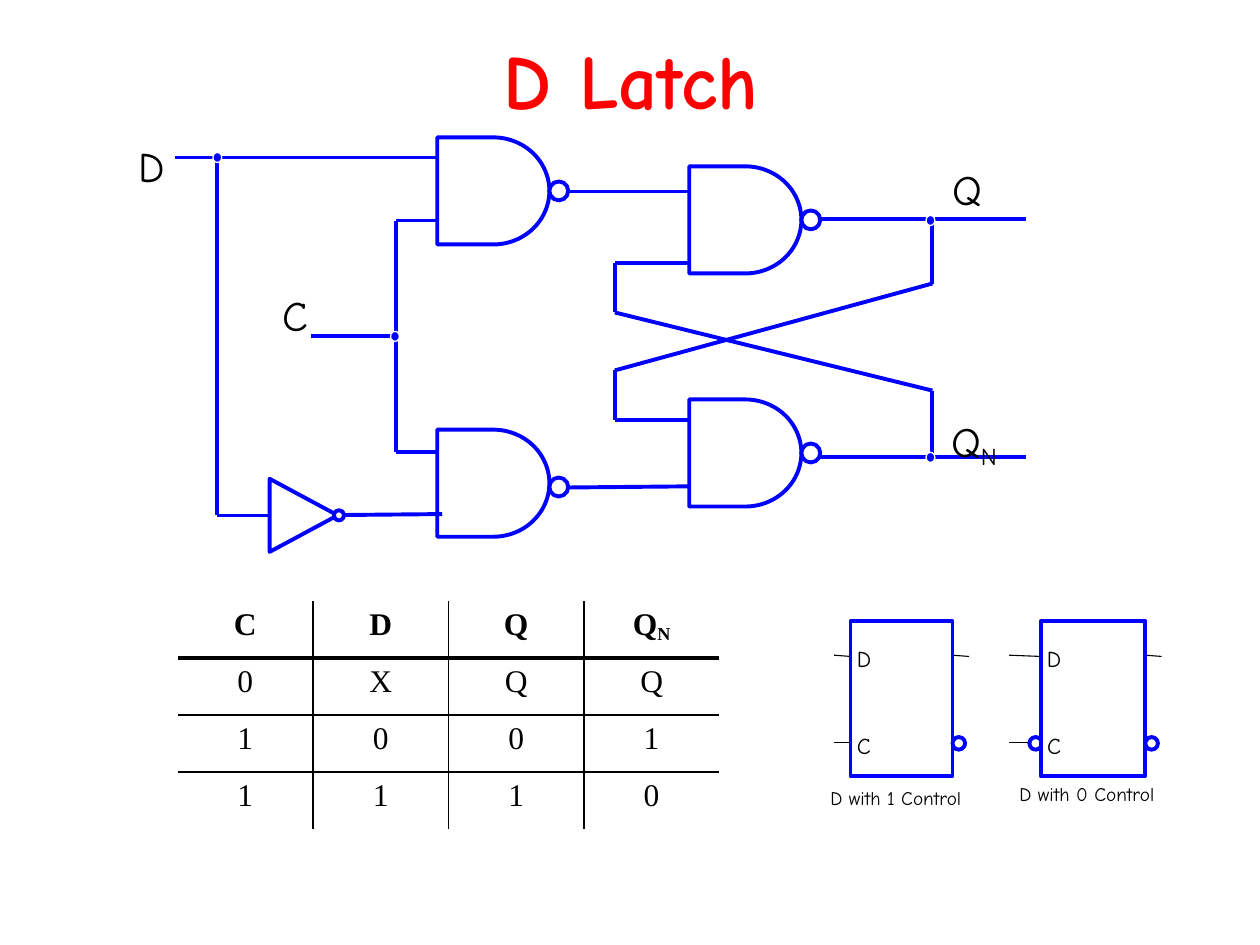
from itertools import pairwise
from lxml.etree import SubElement
from pptx import Presentation
from pptx.dml.color import RGBColor
from pptx.enum.shapes import MSO_CONNECTOR, MSO_SHAPE as Kind
from pptx.enum.text import MSO_ANCHOR, MSO_AUTO_SIZE as Fit, PP_ALIGN as Align
from pptx.oxml.ns import qn
from pptx.util import Inches, Pt

BLUE = RGBColor(0, 0, 255)
RED = RGBColor(255, 0, 0)
BLACK = RGBColor(0, 0, 0)
WHITE = RGBColor(255, 255, 255)
COMIC = "Comic Neue"

prs = Presentation()
prs.slide_width, prs.slide_height = Inches(10), Inches(7.5)
slide = prs.slides.add_slide(prs.slide_layouts[6])
shapes = slide.shapes


def wire(*points, color=BLUE, width=2.25):
    for start, end in pairwise(points):
        line = shapes.add_connector(MSO_CONNECTOR.STRAIGHT, *map(Inches, start + end))
        line.line.color.rgb = color
        line.line.width = Pt(width)
        SubElement(line._element.spPr, qn("a:effectLst"))


def part(kind, left, top, width, height, fill=WHITE, edge=BLUE, weight=2.25):
    shape = shapes.add_shape(kind, *map(Inches, (left, top, width, height)))
    shape.shadow.inherit = False
    if fill is None:
        shape.fill.background()
    else:
        shape.fill.solid()
        shape.fill.fore_color.rgb = fill
    shape.line.color.rgb = edge
    shape.line.width = Pt(weight)
    return shape


# Wires, each a run of corner points
wire((1.39, 1.25), (3.47, 1.25))
wire((1.72, 1.25), (1.72, 4.09))
wire((1.72, 4.09), (2.22, 4.09), width=1.5)
wire((2.47, 4.09), (3.51, 4.08))
wire((2.47, 2.67), (3.14, 2.67))
wire((3.47, 1.75), (3.14, 1.75), (3.14, 3.59), (3.47, 3.59))
wire((4.43, 1.52), (5.47, 1.52))
wire((4.44, 3.87), (5.47, 3.86))
wire((6.51, 1.74), (8.14, 1.74))
wire((6.51, 3.63), (8.14, 3.63))
wire((5.47, 2.09), (4.88, 2.09), (4.88, 2.48), (7.4, 3.1), (7.4, 3.65))
wire((5.47, 3.33), (4.88, 3.33), (4.88, 2.94), (7.4, 2.25), (7.4, 1.73))

# NAND gates with their bubbles
for left, top, drop in [(3.47, 1.09, 0.35), (3.47, 3.41, 0.38),
                        (5.47, 1.32, 0.35), (5.47, 3.17, 0.35)]:
    part(Kind.FLOWCHART_DELAY, left, top, 0.89, 0.85, fill=None)
    part(Kind.OVAL, left + 0.89, top + drop, 0.15, 0.15)

# Inverter
part(Kind.ISOSCELES_TRIANGLE, 2.12, 3.82, 0.58, 0.54).rotation = 90
part(Kind.OVAL, 2.65, 4.05, 0.08, 0.08)

# Junction dots
for left, top in [(1.69, 1.21), (3.1, 2.63), (7.35, 1.71), (7.35, 3.59)]:
    part(Kind.OVAL, left, top, 0.07, 0.08, BLUE, WHITE, 0.75)

# Block symbols: left edge, width, lead start, lead end, low control
labels = []
for left, width, start, note, low in [
        (6.75, 0.81, 6.62, (6.59, 6.24), False),
        (8.26, 0.83, 8.01, (8.09, 6.21), True)]:
    right = left + width
    wire((start, 5.2), (left, 5.21), color=BLACK, width=0.63)
    wire((right, 5.2), (right + 0.13, 5.21), color=BLACK, width=0.63)
    wire((start, 5.89), (left - 0.09 * low, 5.89), color=BLACK, width=0.63)
    if low:
        part(Kind.OVAL, left - 0.09, 5.85, 0.1, 0.1)
    part(Kind.RECTANGLE, left, 4.93, width, 1.23)
    part(Kind.OVAL, right, 5.85, 0.1, 0.1)
    labels += [("D", left + 0.05, 5.12, 0.13, 0.22, 13),
               ("C", left + 0.05, 5.81, 0.11, 0.22, 13),
               (f"D with {0 if low else 1} Control", *note, 1.24, 0.19, 11)]

# Title and labels; a bar sets off a subscript
labels += [("D Latch", 0.51, 0, 9, 1.25, 44),
           ("D", 1, 1.07, 0.36, 0.37, 24),
           ("C", 2.14, 2.25, 0.34, 0.37, 24),
           ("Q", 7.46, 1.25, 0.4, 0.37, 24),
           ("Q|N", 7.45, 3.25, 0.58, 0.37, 24)]
for words, left, top, width, height, size in labels:
    title = size == 44
    frame = shapes.add_textbox(*map(Inches, (left, top, width, height))).text_frame
    look = {"word_wrap": title, "auto_size": Fit.NONE if title else Fit.SHAPE_TO_FIT_TEXT}
    if title:
        look["vertical_anchor"] = MSO_ANCHOR.MIDDLE
    if size < 20:
        look |= dict.fromkeys(
            ("margin_left", "margin_top", "margin_right", "margin_bottom"), 0)
    for name, value in look.items():
        setattr(frame, name, value)
    para = frame.paragraphs[0]
    para.alignment = Align.CENTER if title else Align.LEFT
    for i, bit in enumerate(words.split("|")):
        run = para.add_run()
        run.text = bit
        for name, value in {"name": COMIC, "size": Pt(size), "bold": title}.items():
            setattr(run.font, name, value)
        run.font.color.rgb = RED if title else BLACK
        if i:
            run.font._element.set("baseline", "-18000")

# Truth table: inner rules only, heavy below the heading
ROWS = ["C D Q Q|N", "0 X Q Q", "1 0 0 1", "1 1 1 0"]
grid = shapes.add_table(4, 4, *map(Inches, (1.41, 4.77, 4.3, 1.81)))
table = grid.table
grid._element.find(".//" + qn("a:tableStyleId")).text = "{2D5ABB26-0587-4C30-8999-92F81FD0307C}"
table.first_row = table.horz_banding = False
for r, row in enumerate(ROWS):
    for c, words in enumerate(row.split()):
        cell = table.cell(r, c)
        para = cell.text_frame.paragraphs[0]
        para.alignment = Align.CENTER
        gap = SubElement(para._p.get_or_add_pPr(), qn("a:spcBef"))
        SubElement(gap, qn("a:spcPct"), val="20000")
        for i, bit in enumerate(words.split("|")):
            run = para.add_run()
            run.text = bit
            for name, value in {"name": "Times New Roman", "size": Pt(18), "bold": r == 0}.items():
                setattr(run.font, name, value)
            run.font.color.rgb = BLACK
            if i:
                run.font._element.set("baseline", "-16000")
        edges = {"lnL": c and 1, "lnR": c < 3 and 1,
                 "lnT": r and (2.25 if r == 1 else 1),
                 "lnB": r < 3 and (1 if r else 2.25)}
        props = cell._tc.get_or_add_tcPr()
        for tag, weight in edges.items():
            edge = SubElement(props, qn("a:" + tag), w=str(int(Pt(weight))))
            if weight:
                fill = SubElement(edge, qn("a:solidFill"))
                SubElement(fill, qn("a:srgbClr"), val=str(BLACK))
            else:
                SubElement(edge, qn("a:noFill"))
        cell.fill.background()

prs.save("out.pptx")
